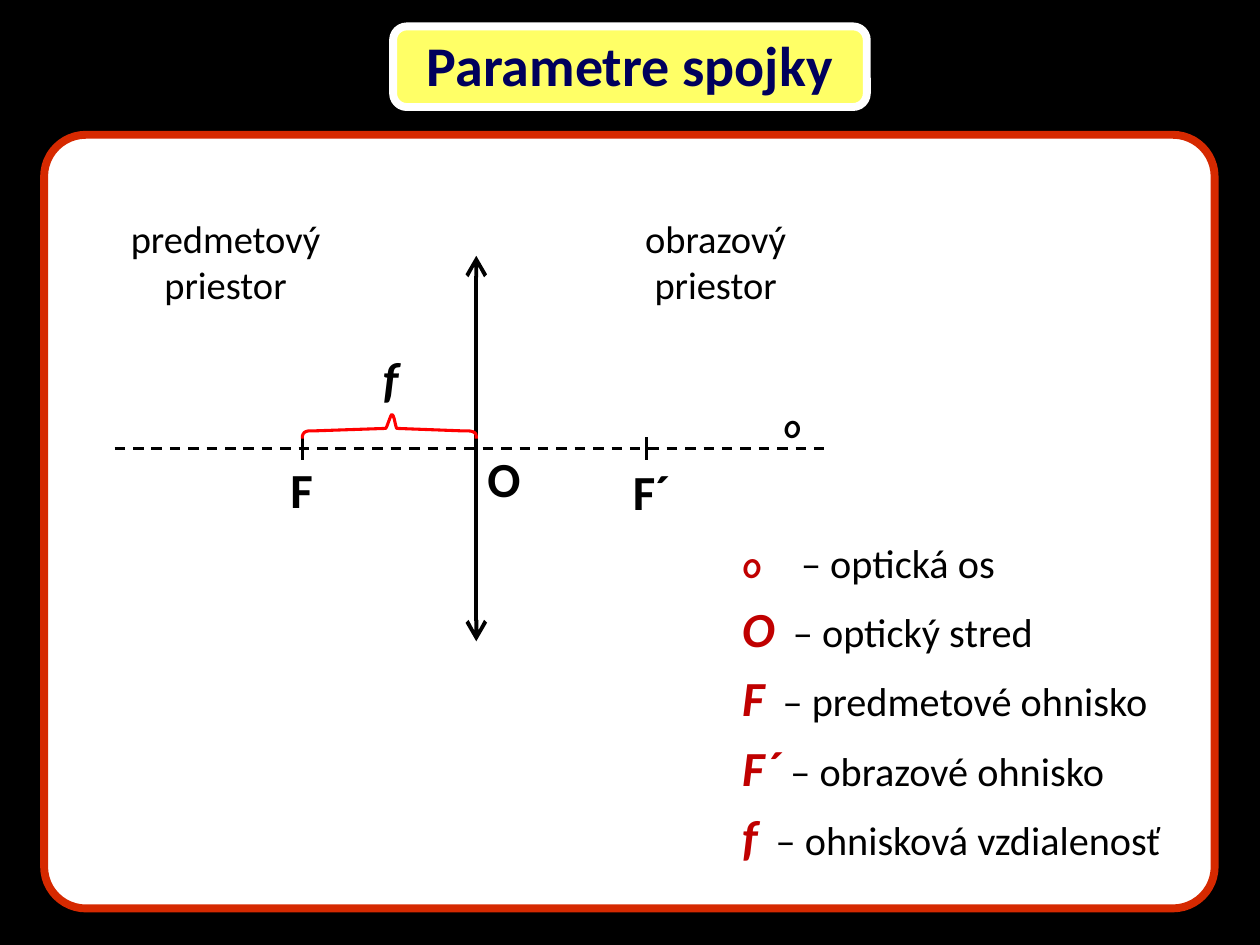
from lxml import etree
from pptx import Presentation
from pptx import util as u
from pptx.dml.color import RGBColor
from pptx.enum import dml, shapes, text
from pptx.oxml.ns import qn

COLORS = {
    "black": "000000",
    "white": "FFFFFF",
    "frame": "D62900",
    "title_fill": "FFFF66",
    "title_text": "00005C",
    "term": "C00000",
    "brace": "FF0000",
}
AXIS_Y = 3.56
LENS_X = 3.78
FOCUS_X = 2.4
IMAGE_FOCUS_X = 5.13


def color(name):
    return RGBColor.from_string(COLORS[name])


def add_text(para, words, size=28, font="Calibri", fill="black", bold=False, italic=False):
    span = para.add_run()
    span.text = words
    span.font.size = u.Pt(size)
    span.font.name = font
    span.font.bold = bold
    span.font.italic = italic
    span.font.color.rgb = color(fill)
    return span


def curve_points(start, control1, control2, end, steps=8):
    """Points along a cubic Bezier curve, without its start."""
    for step in range(1, steps + 1):
        t = step / steps
        weights = ((1 - t) ** 3, 3 * t * (1 - t) ** 2, 3 * t * t * (1 - t), t ** 3)
        corners = (start, control1, control2, end)
        yield tuple(sum(w * c[axis] for w, c in zip(weights, corners)) for axis in (0, 1))


class SlideBuilder:
    """Holds the current slide and its drawing style."""

    def __init__(self, deck):
        self.page = deck.slides.add_slide(deck.slide_layouts[1])
        self.page.background.fill.solid()
        self.page.background.fill.fore_color.rgb = color("black")

    def place(self, box, left, top, width, height):
        box.left, box.top = u.Inches(left), u.Inches(top)
        box.width, box.height = u.Inches(width), u.Inches(height)

    def panel(self, *place, fill, line, rounding):
        box = self.page.shapes.add_shape(
            shapes.MSO_SHAPE.ROUNDED_RECTANGLE, *map(u.Inches, place))
        box.adjustments[0] = rounding
        box.shadow.inherit = False
        box.fill.solid()
        box.fill.fore_color.rgb = color(fill)
        box.line.color.rgb = color(line)
        box.line.width = u.Pt(4.5)
        self.page.shapes.element.insert(2, box.element)  # behind the placeholders

    def title(self, words, *place):
        self.panel(*place, fill="title_fill", line="white", rounding=0.17)
        box = self.page.shapes.title
        self.place(box, *place)
        frame = box.text_frame
        frame.word_wrap = False
        frame.auto_size = text.MSO_AUTO_SIZE.NONE
        frame.vertical_anchor = text.MSO_ANCHOR.MIDDLE
        frame.margin_left = frame.margin_right = u.Inches(0.24)
        frame.margin_top, frame.margin_bottom = 0, u.Inches(0.04)
        add_text(frame.paragraphs[0], words, size=32, fill="title_text", bold=True)

    def label(self, words, *place, align=text.PP_ALIGN.CENTER, **style):
        box = self.page.shapes.add_textbox(*map(u.Inches, place))
        box.text_frame.word_wrap = True
        para = box.text_frame.paragraphs[0]
        para.alignment = align
        add_text(para, words, **style)

    def line(self, x1, y1, x2, y2, weight=1.5, dashed=False, arrows=False):
        rule = self.page.shapes.add_connector(
            shapes.MSO_CONNECTOR.STRAIGHT, *map(u.Inches, (x1, y1, x2, y2)))
        rule.line.color.rgb = color("black")
        rule.line.width = u.Pt(weight)
        if dashed:
            rule.line.dash_style = dml.MSO_LINE.DASH
        if arrows:
            outline = rule.element.spPr.find(qn("a:ln"))
            for end in ("a:headEnd", "a:tailEnd"):
                etree.SubElement(outline, qn(end), type="arrow", w="lg", len="lg")
        etree.SubElement(rule.element.spPr, qn("a:effectLst"))

    def brace(self, start, segments):
        """Open outline; a segment is one point (line) or three (curve)."""
        points = [start]
        for segment in segments:
            if len(segment) == 1:
                points.extend(segment)
            else:
                points.extend(curve_points(points[-1], *segment))
        corners = [(u.Inches(x), u.Inches(y)) for x, y in points]
        builder = self.page.shapes.build_freeform(*corners[0])
        builder.add_line_segments(corners[1:], close=False)
        box = builder.convert_to_shape()
        box.shadow.inherit = False
        box.fill.background()
        box.line.color.rgb = color("brace")
        box.line.width = u.Pt(1.75)

    def legend(self, entries, *place):
        """List of terms; gap is the extra width in points after each term."""
        box = self.page.placeholders[1]
        self.place(box, *place)
        frame = box.text_frame
        frame.auto_size = text.MSO_AUTO_SIZE.NONE
        for index, (term, meaning, gap, style) in enumerate(entries):
            para = frame.add_paragraph() if index else frame.paragraphs[0]
            para.space_before, para.space_after = u.Pt(0), u.Pt(6)
            props = para._p.get_or_add_pPr()
            props.set("marL", "0")
            props.set("indent", "0")
            etree.SubElement(props, qn("a:buNone"))
            add_text(para, term, fill="term", bold=True, **style)
            space = add_text(para, " ")
            space.font._element.set("spc", str(gap * 100))
            add_text(para, f"– {meaning}", size=23)


def main():
    deck = Presentation()
    deck.slide_width, deck.slide_height = u.Inches(10), u.Inches(7.5)
    slide = SlideBuilder(deck)
    slide.title("Parametre spojky", 3.12, 0.21, 3.76, 0.64)
    slide.panel(0.35, 1.07, 9.29, 6.14, fill="white", line="frame", rounding=0.054)

    slide.line(LENS_X, 2.03, LENS_X, 5.09, weight=2.25, arrows=True)
    slide.line(0.91, AXIS_Y, 6.54, AXIS_Y, dashed=True)
    for x in (FOCUS_X, IMAGE_FOCUS_X):
        slide.line(x, AXIS_Y - 0.09, x, AXIS_Y + 0.09)
    slide.brace((FOCUS_X, 3.48), [
        [(2.4, 3.47), (2.4, 3.47), (2.4, 3.46)],
        [(2.41, 3.41), (2.47, 3.42), (2.48, 3.42)],
        [(3.06, 3.4)],
        [(3.07, 3.4), (3.1, 3.29), (3.11, 3.29)],
        [(3.13, 3.29), (3.14, 3.4), (3.15, 3.4)],
        [(3.68, 3.42)],
        [(3.69, 3.42), (LENS_X, 3.41), (LENS_X, 3.46)],
        [(LENS_X, 3.48)],
    ])

    slide.label("O", 3.77, 3.51, 0.56, 0.59, align=text.PP_ALIGN.LEFT, bold=True)
    slide.label("o", 6.01, 3.15, 0.56, 0.44, size=20, font="Comic Neue", bold=True)
    slide.label("F", 1.98, 3.6, 0.83, 0.59, bold=True)
    slide.label("F´", 4.89, 3.61, 0.56, 0.59, bold=True)
    slide.label("f", 2.82, 2.72, 0.56, 0.59, bold=True, italic=True)
    for words, left in (("predmetový priestor", 0.82), ("obrazový priestor", 4.71)):
        slide.label(words, left, 1.66, 1.94, 0.84, size=22)

    italic = {"italic": True}
    slide.legend([
        ("o", "optická os", 16, {"size": 22, "font": "Comic Neue"}),
        ("O", "optický stred", 4, italic),
        ("F", "predmetové ohnisko", 4, italic),
        ("F´", "obrazové ohnisko", -1, italic),
        ("f", "ohnisková vzdialenosť", 4, italic),
    ], 5.79, 4.15, 3.6, 2.79)
    deck.save("out.pptx")


if __name__ == "__main__":
    main()
